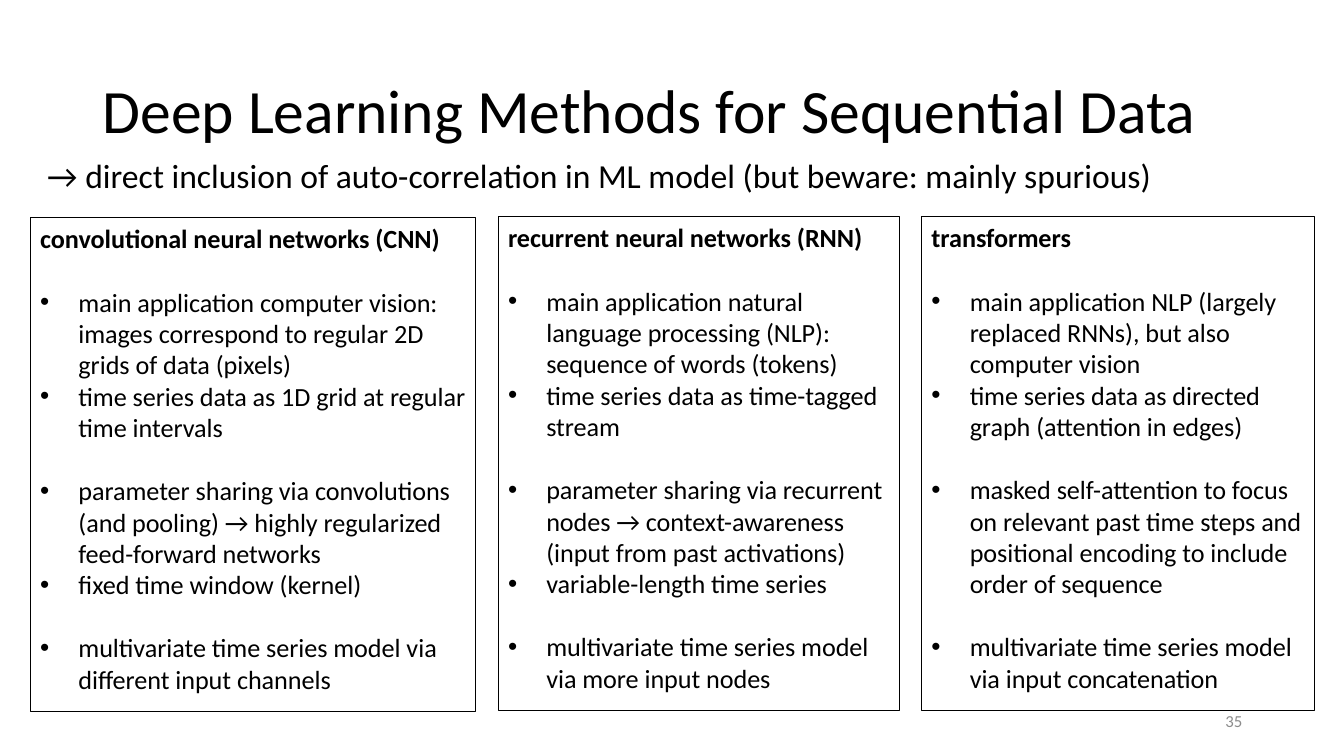
from lxml import etree
from pptx import Presentation
from pptx.dml.color import RGBColor
from pptx.enum.shapes import MSO_SHAPE
from pptx.enum.text import MSO_ANCHOR, PP_ALIGN
from pptx.oxml.ns import qn
from pptx.util import Inches, Pt

BLACK = RGBColor(0x00, 0x00, 0x00)
GRAY = RGBColor(0x8C, 0x8C, 0x8C)
TOP, MIDDLE = MSO_ANCHOR.TOP, MSO_ANCHOR.MIDDLE
LEFT, RIGHT = PP_ALIGN.LEFT, PP_ALIGN.RIGHT
RECTANGLE = MSO_SHAPE.RECTANGLE
BODY_SIZE = 18.67
BLANK_LINE = Pt(22.8)
INDENT = Inches(0.38)

prs = Presentation()
prs.slide_width, prs.slide_height = Inches(13.33), Inches(7.5)
slide = prs.slides.add_slide(prs.slide_layouts[6])


def add_text(paragraph, text, size, color=BLACK, bold=False):
    run = paragraph.add_run()
    run.text = text
    run.font.name = "Calibri"
    run.font.size = Pt(size)
    run.font.bold = bold
    run.font.color.rgb = color


# Title, subtitle and slide number
lines = [
    ("Deep Learning Methods for Sequential Data",
     (0.92, 0.4, 11.5, 1.45), 44, BLACK, LEFT, MIDDLE, 0.9, True),
    ("→ direct inclusion of auto-correlation in ML model (but beware: mainly spurious)",
     (0.37, 1.49, 11.28, 0.5), 24, BLACK, LEFT, TOP, 1.0, False),
    ("35", (9.42, 6.95, 3, 0.4), 12, GRAY, RIGHT, MIDDLE, 1.0, True),
]
for text, place, size, color, align, anchor, spacing, wrap in lines:
    frame = slide.shapes.add_textbox(*map(Inches, place)).text_frame
    frame.word_wrap = wrap
    frame.vertical_anchor = anchor
    heading = frame.paragraphs[0]
    heading.alignment = align
    heading.line_spacing = spacing
    add_text(heading, text, size, color)

# Method boxes: left, top, width, name, groups of points
methods = [
    (0.3, 2.16, 4.42, "convolutional neural networks (CNN)", [
        ["main application computer vision: images correspond to regular 2D grids of data (pixels)",
         "time series data as 1D grid at regular time intervals"],
        ["parameter sharing via convolutions (and pooling) → highly regularized feed-forward networks",
         "fixed time window (kernel)"],
        ["multivariate time series model via different input channels"],
    ]),
    (4.94, 2.15, 3.98, "recurrent neural networks (RNN)", [
        ["main application natural language processing (NLP): sequence of words (tokens)",
         "time series data as time-tagged stream"],
        ["parameter sharing via recurrent nodes → context-awareness (input from past activations)",
         "variable-length time series"],
        ["multivariate time series model via more input nodes"],
    ]),
    (9.14, 2.15, 3.9, "transformers", [
        ["main application NLP (largely replaced RNNs), but also computer vision",
         "time series data as directed graph (attention in edges)"],
        ["masked self-attention to focus on relevant past time steps "
         "and positional encoding to include order of sequence"],
        ["multivariate time series model via input concatenation"],
    ]),
]
for left, top, width, name, groups in methods:
    box = slide.shapes.add_shape(
        RECTANGLE, Inches(left), Inches(top), Inches(width), Inches(4.9))
    box.shadow.inherit = False
    box.fill.background()
    box.line.color.rgb = BLACK
    box.line.width = Pt(0.75)
    frame = box.text_frame
    frame.word_wrap = True
    frame.vertical_anchor = TOP
    method_name = frame.paragraphs[0]
    method_name.alignment = LEFT
    add_text(method_name, name, BODY_SIZE, bold=True)

    for group in groups:
        for position, text in enumerate(group):
            point = frame.add_paragraph()
            point.alignment = LEFT
            # Each group is set off by one line of space
            if position == 0:
                point.space_before = BLANK_LINE
            props = point._p.get_or_add_pPr()
            props.set("marL", str(INDENT))
            props.set("indent", str(-INDENT))
            etree.SubElement(props, qn("a:buFont"), typeface="Arial")
            etree.SubElement(props, qn("a:buChar"), char="•")
            add_text(point, text, BODY_SIZE)

prs.save("out.pptx")
